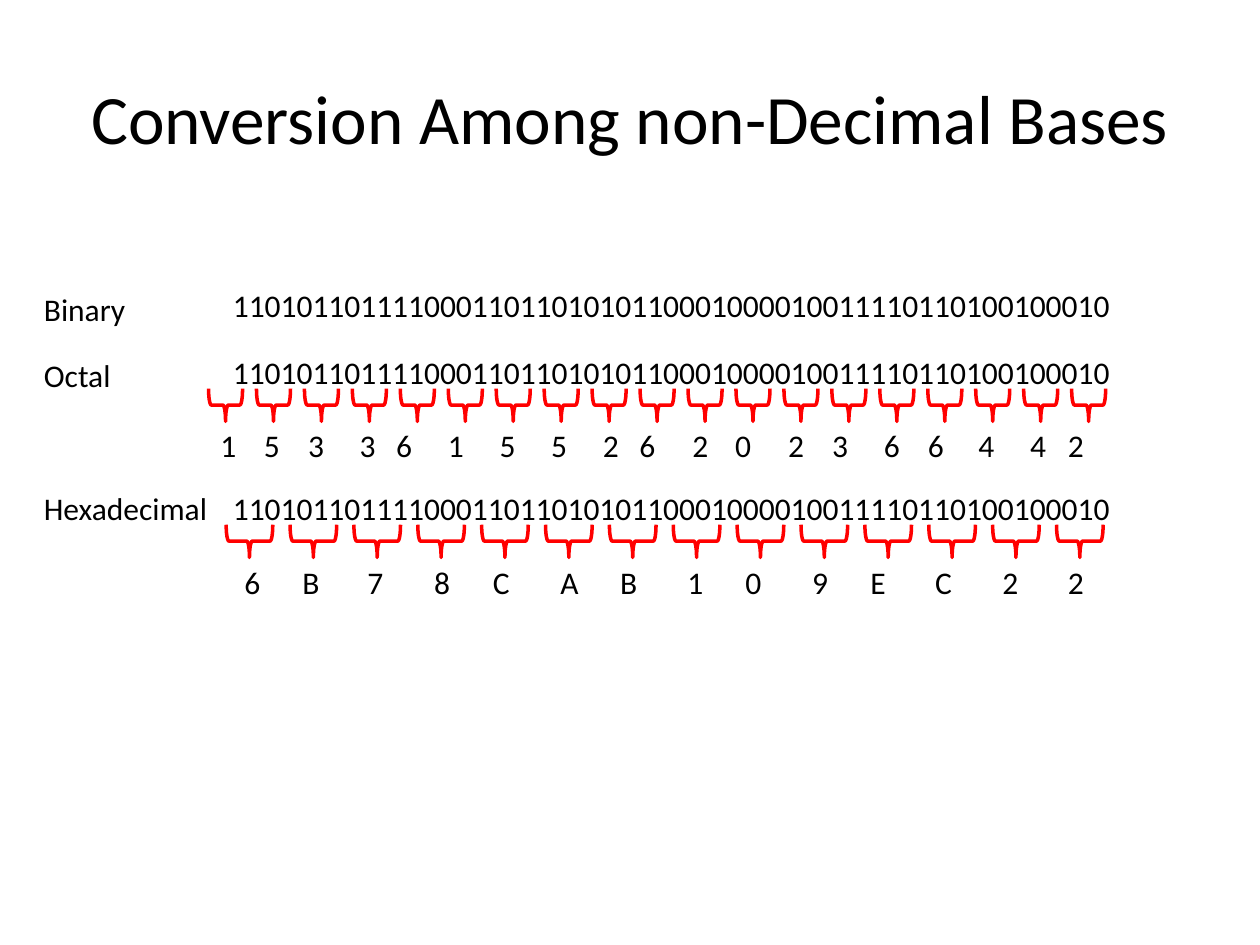
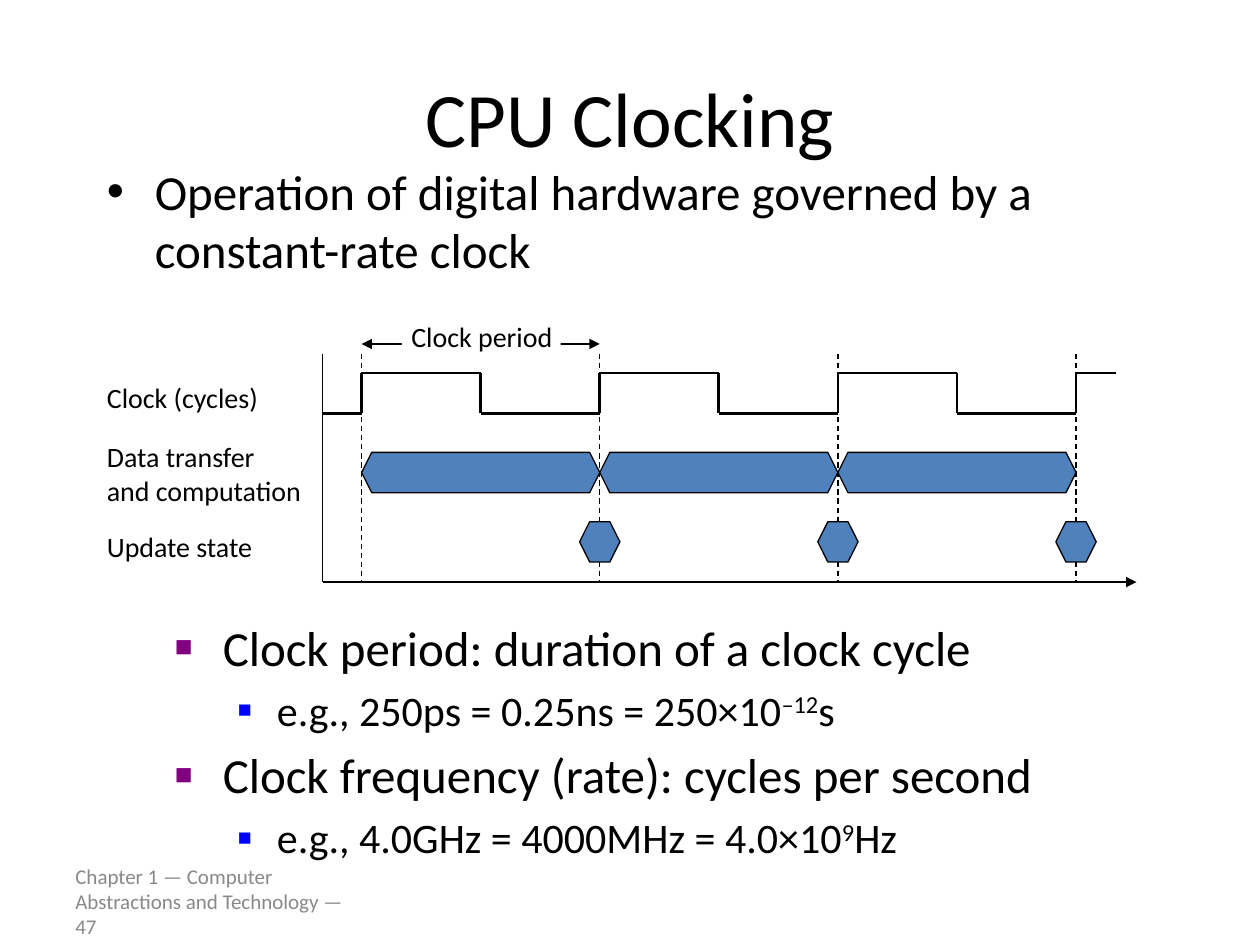
from itertools import pairwise

from lxml import etree
from pptx import Presentation
from pptx.dml.color import RGBColor
from pptx.enum.dml import MSO_LINE
from pptx.enum.shapes import MSO_CONNECTOR, MSO_SHAPE
from pptx.enum.text import MSO_ANCHOR, PP_ALIGN
from pptx.oxml.ns import qn
from pptx.util import Inches, Pt

COLORS = {
    "text": "000000", "footer": "898989", "brace": "FF0000", "bar": "4F81BD",
    "background": "FFFFFF", "bullet_1": "800080", "bullet_2": "0000FF",
}
FONT = "Calibri"
BINARY = "1101011011110001101101010110001000010011110110100100010"

# Bullet styles: symbol, colour, size in percent, indent, hanging, text size
TOP_BULLET = ("•", "text", 100, 0.38, 0.38, 28)
ITEM_BULLET = ("■", "bullet_1", 60, 0.38, 0.38, 28)
EXAMPLE_BULLET = ("■", "bullet_2", 55, 0.81, 0.31, 24)


def rgb(name):
    return RGBColor.from_string(COLORS[name])


def add_element(parent, tag, **attributes):
    return etree.SubElement(parent, qn(tag), attributes)


def format_object(target, values):
    for name, value in values.items():
        setattr(target, name, value)


# Text
def write(paragraph, text, size, color="text"):
    """Write text; the parts between ^ marks are superscript."""
    for index, part in enumerate(text.split("^")):
        run = paragraph.add_run()
        run.text = part
        format_object(run.font, {"name": FONT, "size": Pt(size)})
        run.font.color.rgb = rgb(color)
        if index % 2:
            run.font._element.set("baseline", "30000")


def add_frame(slide, box, wrap=True, anchor=MSO_ANCHOR.TOP):
    shape = slide.shapes.add_textbox(*map(Inches, box))
    frame = shape.text_frame
    format_object(frame, {"word_wrap": wrap, "vertical_anchor": anchor})
    return frame


def add_text(slide, box, text, size, color="text", align=PP_ALIGN.LEFT, **layout):
    frame = add_frame(slide, box, **layout)
    for index, line in enumerate(text.split("\n")):
        paragraph = frame.add_paragraph() if index else frame.paragraphs[0]
        paragraph.alignment = align
        write(paragraph, line, size, color)
    return frame


def add_title(slide, text, size):
    add_text(slide, (0.5, 0.3, 9, 1.25), text, size,
             align=PP_ALIGN.CENTER, anchor=MSO_ANCHOR.MIDDLE)


def add_bullets(slide, box, items):
    frame = add_frame(slide, box)
    for index, (text, style) in enumerate(items):
        symbol, color, percent, indent, hanging, size = style
        paragraph = frame.add_paragraph() if index else frame.paragraphs[0]
        if index:
            paragraph.space_before = Pt(0.2 * size)
        properties = paragraph._p.get_or_add_pPr()
        properties.set("marL", str(Inches(indent)))
        properties.set("indent", str(-Inches(hanging)))
        bullet_color = add_element(properties, "a:buClr")
        add_element(bullet_color, "a:srgbClr", val=COLORS[color])
        add_element(properties, "a:buSzPct", val=str(percent * 1000))
        add_element(properties, "a:buFont", typeface="Arial")
        add_element(properties, "a:buChar", char=symbol)
        write(paragraph, text, size)


# Lines and outlines
def add_line(slide, start, end, width=0.75, dash=None, head=False, tail=False):
    line = slide.shapes.add_connector(
        MSO_CONNECTOR.STRAIGHT, *map(Inches, (*start, *end)))
    add_element(line._element.spPr, "a:effectLst")
    line.line.color.rgb = rgb("text")
    format_object(line.line, {"width": Pt(width), "dash_style": dash})
    outline = line.line._get_or_add_ln()
    for tag, wanted in (("a:headEnd", head), ("a:tailEnd", tail)):
        if wanted:
            add_element(outline, tag, type="triangle")


def add_hexagon(slide, left, top, width, height=0.32, tip=0.08):
    right, middle = left + width, top + height / 2
    corners = [(left + tip, top), (right - tip, top), (right, middle),
               (right - tip, top + height), (left + tip, top + height)]
    builder = slide.shapes.build_freeform(Inches(left), Inches(middle))
    builder.add_line_segments([(Inches(x), Inches(y)) for x, y in corners])
    shape = builder.convert_to_shape()
    shape.shadow.inherit = False
    shape.fill.solid()
    shape.fill.fore_color.rgb = rgb("bar")
    shape.line.color.rgb = rgb("text")
    shape.line.width = Pt(0.75)


# Number bases
def add_base_row(slide, left, top, name, label_drop=0.0):
    add_text(slide, (left, top + label_drop, 1.51, 0.4), name, 18)
    add_text(slide, (left + 1.5, top, 7.24, 0.4), BINARY, 18, wrap=False)


def add_braces(slide, first, last, top, count, span):
    """Place evenly spaced braces that open upward."""
    depth = 0.26
    for index in range(count):
        left = first + index * (last - first) / (count - 1)
        brace = slide.shapes.add_shape(
            MSO_SHAPE.RIGHT_BRACE, *map(Inches, (left, top, depth, span)))
        brace.rotation = 90
        brace.shadow.inherit = False
        brace.fill.background()
        brace.line.color.rgb = rgb("brace")
        brace.line.width = Pt(2)


def add_digits(slide, box, digits, centers):
    """Write the first digit at the left, the others on centred tab stops."""
    paragraph = add_frame(slide, box).paragraphs[0]
    tabs = add_element(paragraph._p.get_or_add_pPr(), "a:tabLst")
    for center in centers:
        position = Inches(center - box[0] - 0.1)
        add_element(tabs, "a:tab", pos=str(position), algn="ctr")
    write(paragraph, "\t".join(digits), 18)


def build_bases_slide(slide):
    add_title(slide, "Conversion Among non-Decimal Bases", 39.6)
    left = 0.25
    add_base_row(slide, left, 2.22, "Binary", 0.03)

    # Groups of three bits
    add_base_row(slide, left, 2.75, "Octal", 0.03)
    add_braces(slide, 1.66, 8.51, 3.08, 19, 0.27)
    add_digits(slide, (1.65, 3.33, 7.2, 0.4), "1533615526202366442",
               [2.16, 2.51, 2.92, 3.21, 3.62, 4.03, 4.44, 4.85, 5.14,
                5.56, 5.9, 6.32, 6.67, 7.08, 7.43, 7.83, 8.24, 8.54])

    # Groups of four bits
    add_base_row(slide, left, 3.83, "Hexadecimal")
    add_braces(slide, 1.85, 8.44, 4.11, 14, 0.37)
    add_digits(slide, (1.84, 4.42, 7.01, 0.4), "6B78CAB109EC22",
               [2.47, 2.98, 3.51, 3.98, 4.52, 4.99, 5.52, 5.98, 6.51,
                6.97, 7.49, 8.02, 8.54])


# Clock timing
def add_timing_diagram(slide, left, top):
    period, cycles = 1.89, 3
    axis, bottom = left + 1.81, top + 2.13
    axis_top, high, low = top + 0.32, top + 0.47, top + 0.79
    edges = [axis + 0.31 + period * index for index in range(cycles + 1)]

    # Period arrow and clock edges
    add_line(slide, (edges[0], top + 0.24), (edges[1], top + 0.24),
             head=True, tail=True)
    for edge in edges:
        add_line(slide, (edge, axis_top), (edge, bottom), dash=MSO_LINE.DASH)

    # Clock signal
    points = [(axis, low)]
    for edge in edges:
        fall = edge + period / 2
        points += [(edge, low), (edge, high), (fall, high), (fall, low)]
    points[-2:] = [(edges[-1] + 0.32, high)]
    for start, end in pairwise(points):
        add_line(slide, start, end, width=1.5)

    # State updates, axes and transfers
    for edge in edges[1:]:
        add_hexagon(slide, edge - 0.16, top + 1.65, 0.32)
    add_line(slide, (axis, bottom), (left + 8.27, bottom), tail=True)
    add_line(slide, (axis, bottom), (axis, axis_top))
    for edge in edges[:-1]:
        add_hexagon(slide, edge, top + 1.1, period)

    # Row labels
    for text, drop, width, height in (
            ("Clock (cycles)", 0.48, 1.58, 0.37),
            ("Data transfer\nand computation", 0.95, 1.84, 0.64),
            ("Update state", 1.66, 1.46, 0.37)):
        add_text(slide, (left, top + drop, width, height), text, 16, wrap=False)

    # Period label over a gap in the arrow
    gap = slide.shapes.add_shape(
        MSO_SHAPE.RECTANGLE, *map(Inches, (left + 2.44, top + 0.16, 1.26, 0.16)))
    gap.shadow.inherit = False
    gap.fill.solid()
    gap.fill.fore_color.rgb = rgb("background")
    gap.line.fill.background()
    add_text(slide, (left + 2.36, top, 1.43, 0.37), "Clock period", 16,
             align=PP_ALIGN.CENTER, wrap=False)


def build_clocking_slide(slide):
    add_text(slide, (0.5, 6.95, 2.33, 0.4),
             "Chapter 1 — Computer Abstractions and Technology — 47",
             12, "footer", anchor=MSO_ANCHOR.MIDDLE)
    add_title(slide, "CPU Clocking", 44)
    add_bullets(slide, (0.75, 1.23, 9.05, 1.34), [
        ("Operation of digital hardware governed by a constant-rate clock",
         TOP_BULLET)])
    add_timing_diagram(slide, 0.75, 2.49)
    add_bullets(slide, (1.29, 4.85, 8.5, 2.13), [
        ("Clock period: duration of a clock cycle", ITEM_BULLET),
        ("e.g., 250ps = 0.25ns = 250×10^–12^s", EXAMPLE_BULLET),
        ("Clock frequency (rate): cycles per second", ITEM_BULLET),
        ("e.g., 4.0GHz = 4000MHz = 4.0×10^9^Hz", EXAMPLE_BULLET)])


def main():
    presentation = Presentation()
    format_object(presentation, {"slide_width": Inches(10),
                                 "slide_height": Inches(7.5)})
    for build in (build_bases_slide, build_clocking_slide):
        build(presentation.slides.add_slide(presentation.slide_layouts[6]))
    presentation.save("out.pptx")


if __name__ == "__main__":
    main()
